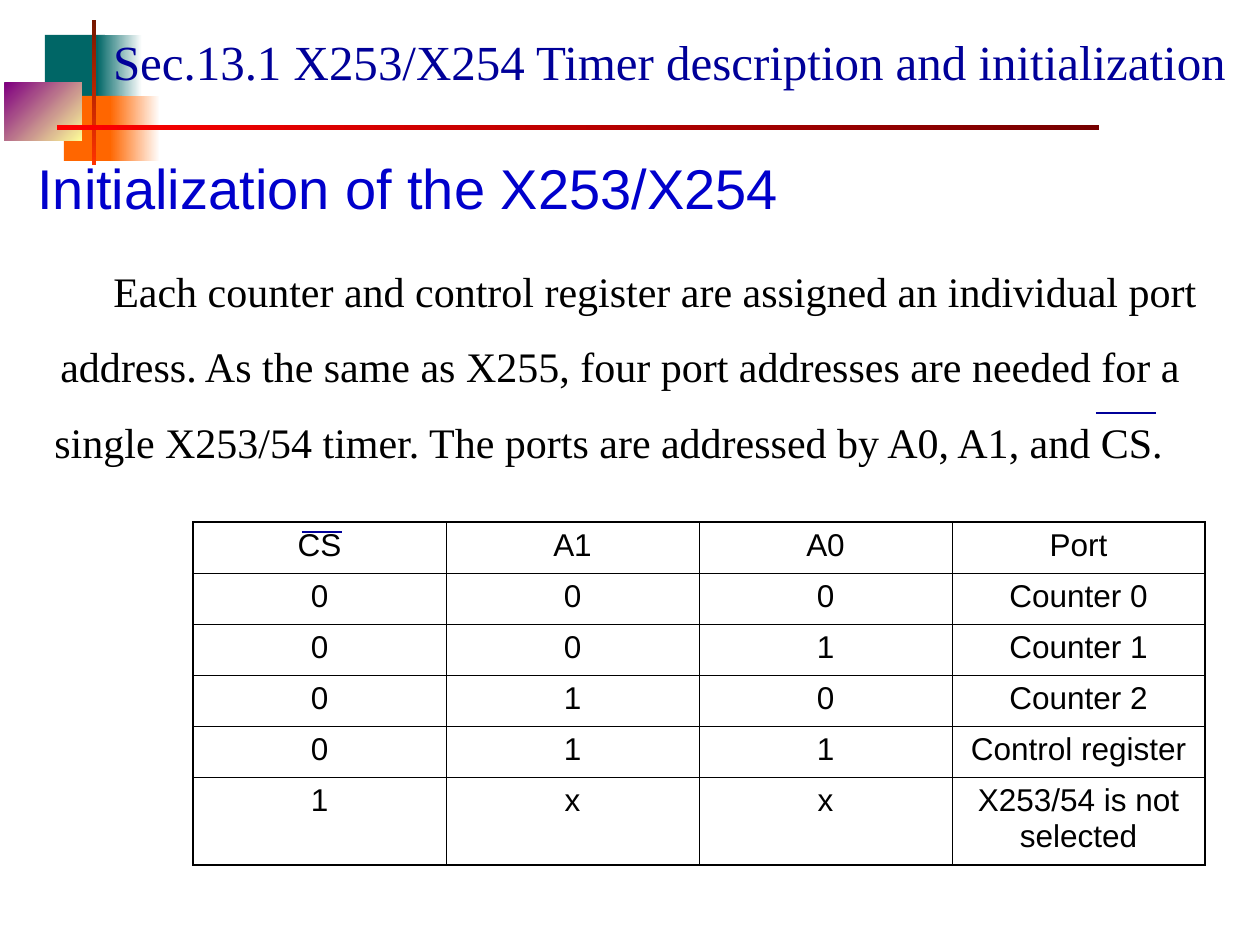
from dataclasses import dataclass
from typing import Optional

from lxml import etree
from pptx import Presentation
from pptx.dml.color import RGBColor
from pptx.enum.shapes import MSO_CONNECTOR, MSO_SHAPE
from pptx.enum.text import MSO_ANCHOR, MSO_AUTO_SIZE, PP_ALIGN
from pptx.oxml.ns import qn
from pptx.util import Emu, Pt

RECTANGLE = MSO_SHAPE.RECTANGLE
STRAIGHT = MSO_CONNECTOR.STRAIGHT
CENTER, LEFT = PP_ALIGN.CENTER, PP_ALIGN.LEFT
TOP, MIDDLE = MSO_ANCHOR.TOP, MSO_ANCHOR.MIDDLE
NO_AUTOFIT = MSO_AUTO_SIZE.NONE

EMU_PER_PX = 914400 / 126
SERIF, SANS = "Times New Roman", "Arial"
COLORS = {
    "white": "FFFFFF", "black": "000000",
    "navy": "000099", "blue": "0000CC",
    "teal": "006666", "orange": "FF6600",
    "yellow": "FFFF99", "purple": "800080",
    "brown": "761800", "vermilion": "FF3300",
    "red": "FF0000", "maroon": "760000",
}


@dataclass
class Block:
    """A rectangle of the corner ornament; angle is counter-clockwise."""
    left: int
    top: int
    width: int
    height: int
    color: str
    end_color: Optional[str] = None
    angle: int = 0


@dataclass
class Overline:
    left: int
    right: int
    y: int


@dataclass
class BodyParagraph:
    text: str
    margin: int
    indent: int


BLOCKS = [
    Block(45, 35, 60, 66, "teal"),
    Block(97, 35, 45, 66, "white", "teal", 180),
    Block(64, 96, 58, 65, "orange"),
    Block(110, 96, 50, 65, "white", "orange", 180),
    Block(5, 83, 77, 58, "yellow", "purple", 135),
    Block(92, 20, 4, 145, "brown", "vermilion", 270),
    Block(57, 125, 1042, 5, "red", "maroon", 0),
]
OVERLINES = [Overline(1096, 1156, 413), Overline(302, 342, 532)]
BODY = [
    BodyParagraph("Each counter and control register are assigned an individual port "
                  "address. As the same as X255, four port addresses are needed for a", 48, 53),
    BodyParagraph("single X253/54 timer. The ports are addressed by A0, A1, and CS.", 42, 0),
]
PORT_TABLE = [
    ["CS", "A1", "A0", "Port"],
    ["0", "0", "0", "Counter 0"],
    ["0", "0", "1", "Counter 1"],
    ["0", "1", "0", "Counter 2"],
    ["0", "1", "1", "Control register"],
    ["1", "x", "x", "X253/54 is not selected"],
]
COLUMN_WIDTH = 253
ROW_HEIGHTS = [51] * 5 + [88]
OUTER_BORDER, INNER_BORDER = 1.08, 0.45


def px(length: int) -> Emu:
    return Emu(round(length * EMU_PER_PX))


def rgb(name: str) -> RGBColor:
    return RGBColor.from_string(COLORS[name])


def format_runs(paragraph, font: str, size: int, color: str, align=LEFT) -> None:
    paragraph.alignment = align
    for run in paragraph.runs:
        run.font.name = font
        run.font.size = Pt(size)
        run.font.color.rgb = rgb(color)


def add_block(slide, block: Block) -> None:
    shape = slide.shapes.add_shape(
        RECTANGLE, px(block.left), px(block.top), px(block.width), px(block.height))
    shape.shadow.inherit = False
    shape.line.fill.background()
    if block.end_color is None:
        shape.fill.solid()
        shape.fill.fore_color.rgb = rgb(block.color)
        return
    shape.fill.gradient()
    shape.fill.gradient_angle = block.angle
    for stop, color in zip(shape.fill.gradient_stops, (block.color, block.end_color)):
        stop.color.rgb = rgb(color)


def add_overline(slide, overline: Overline) -> None:
    connector = slide.shapes.add_connector(
        STRAIGHT, px(overline.left), px(overline.y), px(overline.right), px(overline.y))
    connector.line.color.rgb = rgb("navy")
    connector.line.width = Pt(1.5)
    etree.SubElement(connector.element.spPr, qn("a:effectLst"))


def add_text_frame(slide, left: int, top: int, width: int, height: int):
    box = slide.shapes.add_textbox(px(left), px(top), px(width), px(height))
    box.text_frame.word_wrap = True
    return box.text_frame


def set_title(slide, text: str) -> None:
    title = slide.shapes.title
    title.left, title.top, title.width, title.height = px(79), px(26), px(1181), px(69)
    text_frame = title.text_frame
    text_frame.text = text
    text_frame.auto_size = NO_AUTOFIT
    text_frame.vertical_anchor = MIDDLE
    format_runs(text_frame.paragraphs[0], SERIF, 28, "navy", CENTER)
    # Bring the title in front of the ornament
    slide.shapes.element.append(title.element)


def add_body(slide) -> None:
    text_frame = add_text_frame(slide, 0, 234, 1260, 239)
    text_frame.text = "\n".join(item.text for item in BODY)
    for paragraph, item in zip(text_frame.paragraphs, BODY):
        properties = paragraph._p.get_or_add_pPr()
        properties.set("marL", str(px(item.margin)))
        properties.set("indent", str(px(item.indent)))
        paragraph.line_spacing = 1.5
        format_runs(paragraph, SERIF, 24, "black")


def set_borders(cell, widths: dict[str, float]) -> None:
    properties = cell._tc.get_or_add_tcPr()
    for side, width in widths.items():
        line = etree.SubElement(properties, qn(f"a:ln{side}"), w=str(Pt(width)))
        fill = etree.SubElement(line, qn("a:solidFill"))
        etree.SubElement(fill, qn("a:srgbClr"), val=COLORS["black"])


def add_port_table(slide) -> None:
    row_count, column_count = len(PORT_TABLE), len(PORT_TABLE[0])
    table = slide.shapes.add_table(
        row_count, column_count, px(193), px(522),
        px(COLUMN_WIDTH * column_count), px(sum(ROW_HEIGHTS))).table
    table.first_row = table.horz_banding = False
    for column in table.columns:
        column.width = px(COLUMN_WIDTH)
    for row_index, values in enumerate(PORT_TABLE):
        table.rows[row_index].height = px(ROW_HEIGHTS[row_index])
        for column_index, value in enumerate(values):
            cell = table.cell(row_index, column_index)
            cell.text_frame.text = value
            cell.vertical_anchor = TOP
            format_runs(cell.text_frame.paragraphs[0], SANS, 18, "black", CENTER)
            on_edge = {
                "L": column_index == 0, "R": column_index == column_count - 1,
                "T": row_index == 0, "B": row_index == row_count - 1,
            }
            set_borders(cell, {side: OUTER_BORDER if edge else INNER_BORDER
                               for side, edge in on_edge.items()})
            cell.fill.solid()
            cell.fill.fore_color.rgb = rgb("white")


def main() -> None:
    presentation = Presentation()
    presentation.slide_width, presentation.slide_height = px(1260), px(945)
    slide = presentation.slides.add_slide(presentation.slide_layouts[5])

    # Ornament and title
    for block in BLOCKS:
        add_block(slide, block)
    set_title(slide, "Sec.13.1 X253/X254 Timer description and initialization")

    # Body text and heading
    add_body(slide)
    heading = add_text_frame(slide, 25, 155, 942, 59)
    heading.text = "Initialization of the X253/X254"
    heading.paragraphs[0].line_spacing = 0.9
    format_runs(heading.paragraphs[0], SANS, 32, "blue")

    # Port table and the bars over CS
    add_port_table(slide)
    for overline in OVERLINES:
        add_overline(slide, overline)

    presentation.save("out.pptx")


if __name__ == "__main__":
    main()
